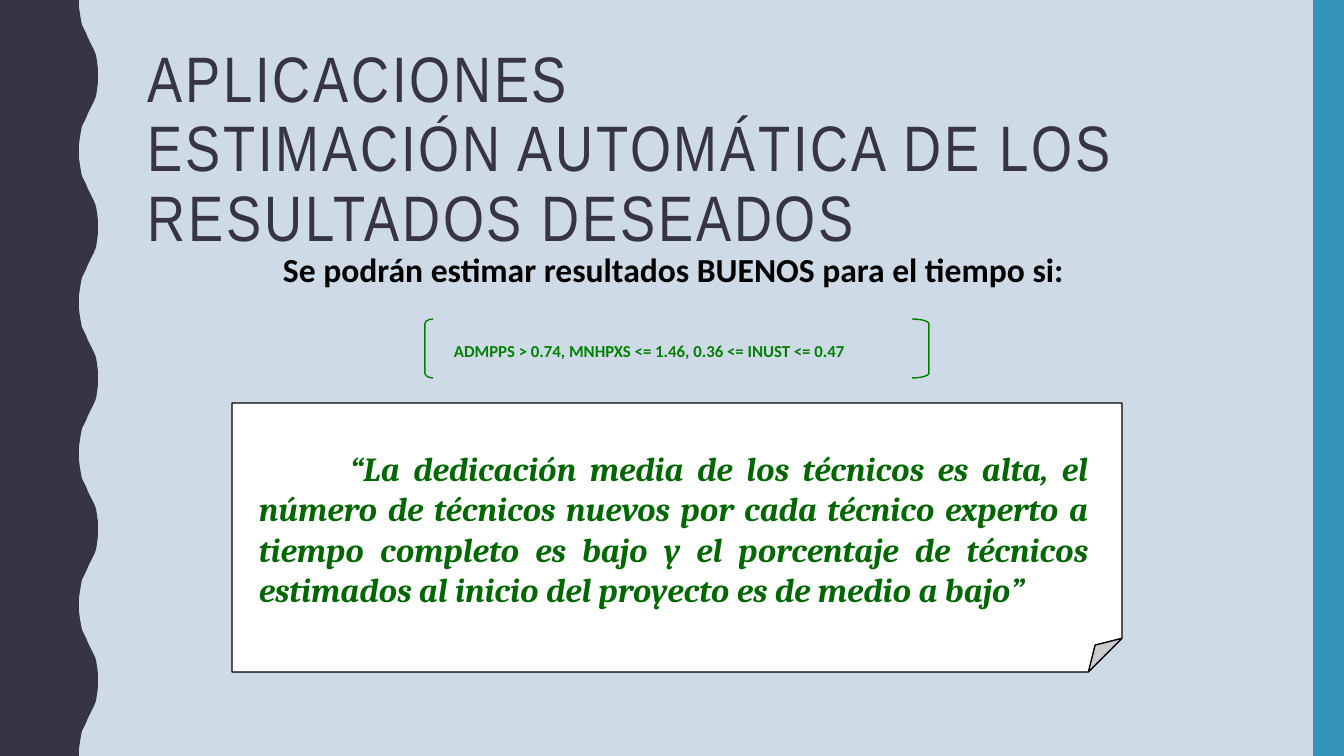
from lxml.etree import SubElement
from pptx import Presentation
from pptx.dml.color import RGBColor
from pptx.enum.shapes import MSO_SHAPE
from pptx.enum.text import MSO_ANCHOR, PP_ALIGN
from pptx.oxml.ns import qn
from pptx.util import Pt

PX = 914400 / 100.8
W, H = 1344, 756
PALE = RGBColor(0xCE, 0xDB, 0xE6)
DARK = RGBColor(0x37, 0x35, 0x45)
BLUE = RGBColor(0x34, 0x94, 0xBA)
GREEN = RGBColor(0x00, 0x80, 0x00)
DEEP_GREEN = RGBColor(0x00, 0x66, 0x00)
BLACK = RGBColor(0, 0, 0)
WHITE = RGBColor(255, 255, 255)

WAVES = 5
HALF_WAVE = [(79, 0), (79, 7), (80, 14), (81, 20), (82, 25), (84, 29),
             (86, 33), (88, 38), (90, 42), (92, 46), (94, 50), (96, 55),
             (97, 61), (98, 69), (98, 76)]


def px(n):
    """Turn pixels into EMU."""
    return round(n * PX)


def paint(sp, fill=None, line=None):
    """Set fill and outline, and remove the shadow."""
    sp.shadow.inherit = False
    if fill is None:
        sp.fill.background()
    else:
        sp.fill.solid()
        sp.fill.fore_color.rgb = fill
    if line is None:
        sp.line.fill.background()
    else:
        sp.line.color.rgb = line
        sp.line.width = Pt(1)


def add_preset(s, kind, x, y, w, h, fill=None, line=None, adj=None):
    """Add a painted preset shape, with its adjustment in thousandths of a percent."""
    sp = s.shapes.add_shape(kind, px(x), px(y), px(w), px(h))
    paint(sp, fill, line)
    if adj is not None:
        guides = next(sp._element.iter(qn("a:avLst")))
        SubElement(guides, qn("a:gd"), name="adj", fmla=f"val {adj}")


def add_text(s, text, x, y, w, h, font, size, color, bold=False, italic=False,
             align=PP_ALIGN.LEFT, anchor=MSO_ANCHOR.TOP, leading=None,
             tracking=None, indent=None):
    """Add a wrapped text box with one formatted paragraph."""
    tf = s.shapes.add_textbox(px(x), px(y), px(w), px(h)).text_frame
    tf.word_wrap = True
    tf.vertical_anchor = anchor
    p = tf.paragraphs[0]
    p.text = text
    p.alignment = align
    if leading:
        p.line_spacing = leading
    if indent:
        p._p.get_or_add_pPr().set("indent", str(px(indent)))
    for r in p.runs:
        f = r.font
        f.name, f.size, f.bold, f.italic = font, Pt(size), bold, italic
        f.color.rgb = color
        if tracking:
            r._r.get_or_add_rPr().set("spc", str(tracking * 100))


def add_frame(s, x, y, w, h):
    """Draw the wavy left edge and the right band."""
    period = h / WAVES
    wave = HALF_WAVE + [(dx, period - dy) for dx, dy in HALF_WAVE[-2::-1]]
    edge = [(x + dx, y + i * period + dy)
            for i in range(WAVES) for dx, dy in wave]
    fb = s.shapes.build_freeform(px(x), px(y), scale=1.0)
    fb.add_line_segments([(px(a), px(b)) for a, b in edge + [(x, y + h)]])
    paint(fb.convert_to_shape(), DARK)
    add_preset(s, MSO_SHAPE.RECTANGLE, x + w - 31, y, 31, h, BLUE)


def add_condition(s, x, y, w, h):
    """Place the rule between its two brackets."""
    add_preset(s, MSO_SHAPE.LEFT_BRACKET, x, y, 8, h, line=GREEN, adj=58000)
    add_preset(s, MSO_SHAPE.RIGHT_BRACKET, x + w - 17, y, 17, h,
               line=GREEN, adj=29000)
    add_text(s, "ADMPPS > 0.74, MNHPXS <= 1.46, 0.36 <= INUST <= 0.47",
             x + 19, y + 17, w - 50, 30, "Calibri", 12, GREEN, bold=True,
             anchor=MSO_ANCHOR.MIDDLE)


def add_quote(s, x, y, w, h):
    """Place the quotation on a sheet with a folded corner."""
    add_preset(s, MSO_SHAPE.FOLDED_CORNER, x, y, w, h, WHITE, BLACK, 12500)
    add_text(s, "“La dedicación media de los técnicos es alta, el número de "
             "técnicos nuevos por cada técnico experto a tiempo completo es "
             "bajo y el porcentaje de técnicos estimados al inicio del "
             "proyecto es de medio a bajo”",
             x + 17, y + 40, w - 41, 172, "Cambria", 24, DEEP_GREEN,
             bold=True, italic=True, align=PP_ALIGN.JUSTIFY, indent=91)


def main():
    """Build and save the slide."""
    prs = Presentation()
    prs.slide_width, prs.slide_height = px(W), px(H)
    s = prs.slides.add_slide(prs.slide_layouts[6])
    s.background.fill.solid()
    s.background.fill.fore_color.rgb = PALE
    add_frame(s, 0, 0, W, H)
    add_text(s, "APLICACIONES\vESTIMACIÓN AUTOMÁTICA DE LOS RESULTADOS "
             "DESEADOS", 138, 42, 1122, 164, "Arial Narrow", 45.9, DARK,
             leading=0.9, tracking=2)
    add_text(s, "Se podrán estimar resultados BUENOS para el tiempo si:",
             273, 244, 844, 50, "Calibri", 24, BLACK, bold=True)
    add_condition(s, 425, 319, 504, 59)
    add_quote(s, 232, 403, 890, 269)
    prs.save("out.pptx")


if __name__ == "__main__":
    main()
